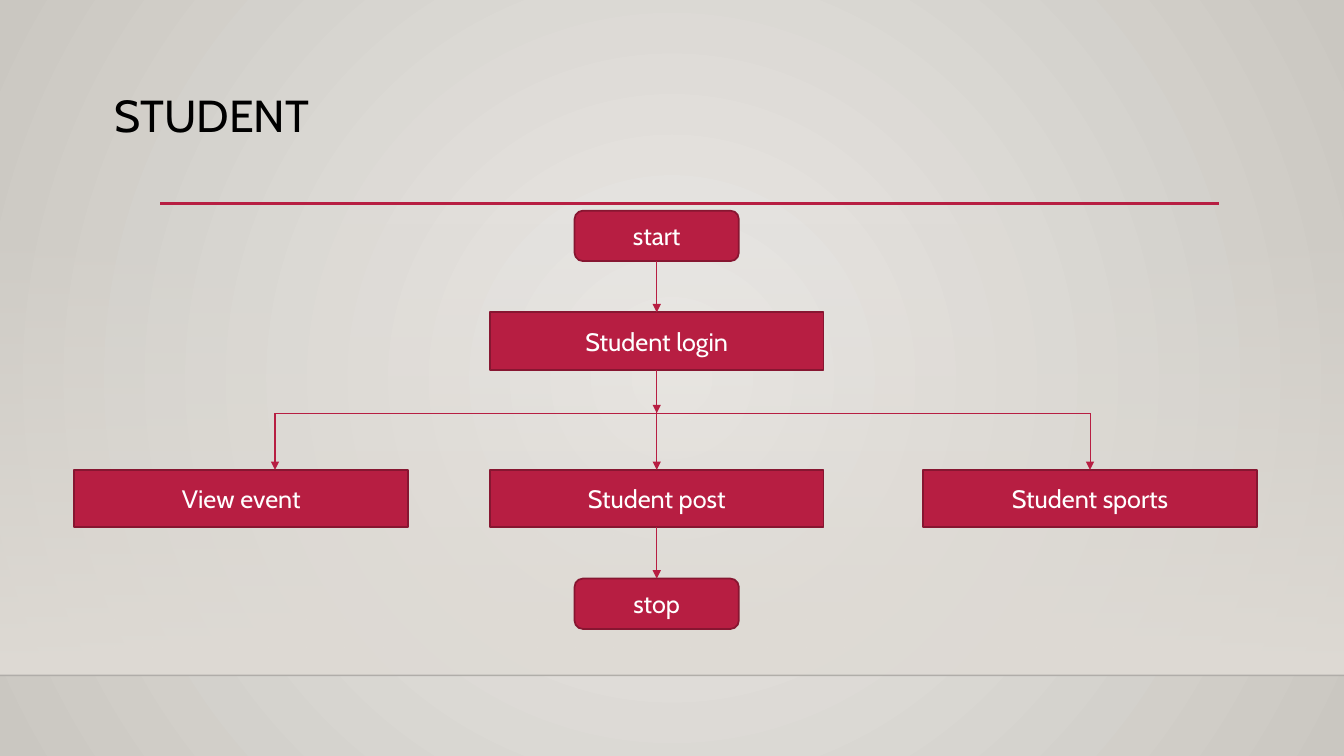
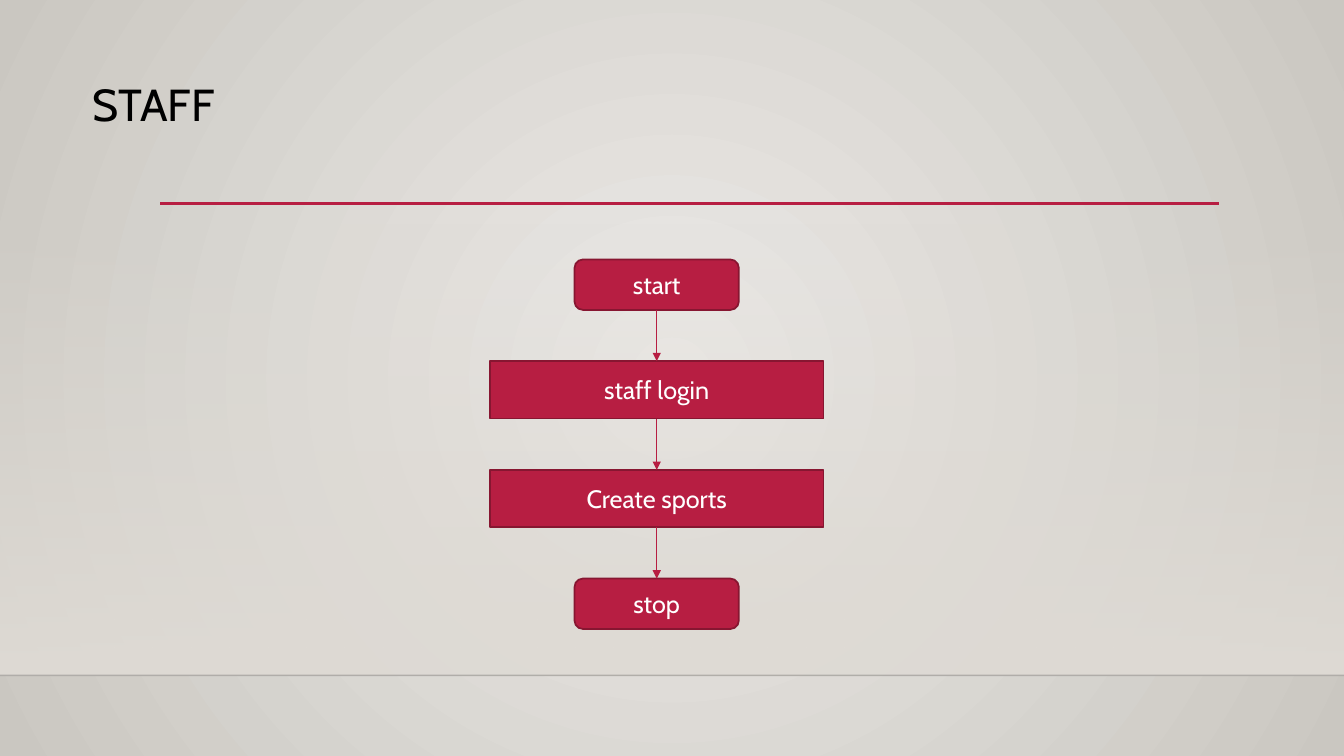
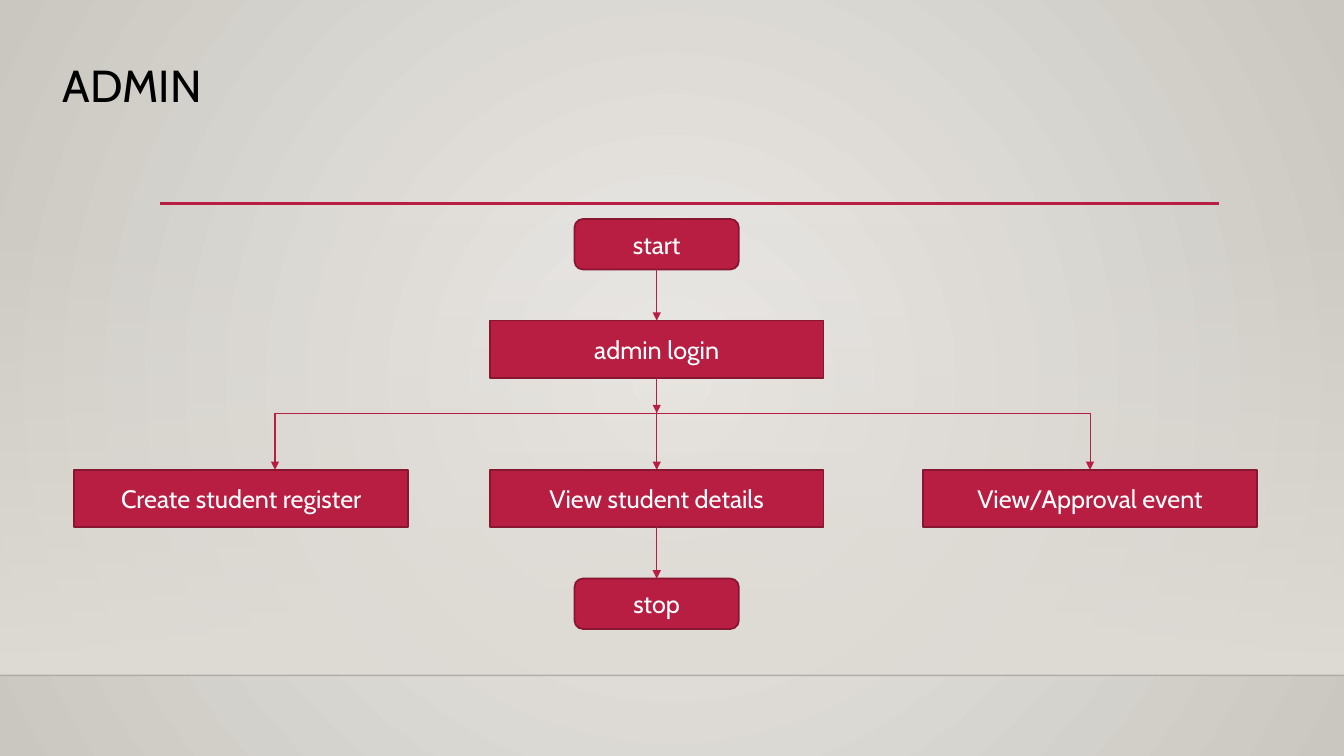
from dataclasses import dataclass

from pptx import Presentation
from pptx import util as u
from pptx.dml.color import RGBColor
from pptx.enum import shapes, text
from pptx.oxml import parse_xml
from pptx.oxml.ns import nsdecls, qn
from pptx.oxml.xmlchemy import BaseOxmlElement
from pptx.shapes.autoshape import Shape
from pptx.shapes.connector import Connector
from pptx.shapes.shapetree import SlideShapes
from pptx.slide import SlideLayout, SlideMaster


@dataclass(frozen=True)
class Theme:
    font: str = "Cabin"
    title_size: float = 32
    box_size: float = 18
    title: str = "000000"
    box_text: str = "FFFFFF"
    accent: str = "B71E42"
    outline: str = "871631"
    floor_line: str = "000001"
    glow: str = "ECEAE7"
    edge: str = "CAC7C1"
    wall: str = "DFDBD5"
    outline_width: float = 1.25
    arrow_width: float = 0.75
    rule_width: float = 2.5


@dataclass(frozen=True)
class Flow:
    title: str
    title_box: tuple[float, float, float, float]
    login: str
    login_top: float
    actions: tuple[str, ...]  # the middle action comes first


@dataclass(frozen=True)
class BoxKind:
    preset: shapes.MSO_SHAPE
    width: float
    height: float


THEME = Theme()
PILL = BoxKind(shapes.MSO_SHAPE.ROUNDED_RECTANGLE, 4.14, 1.27)
STEP = BoxKind(shapes.MSO_SHAPE.RECTANGLE, 8.41, 1.45)

# Flowchart grid, in centimetres
SLIDE_W, SLIDE_H = 33.87, 19.05
COLUMNS = (16.55, 6.08, 27.47)
SIDE_STEMS = (6.93, 27.47)
GAP = 1.29
BUS_Y = 10.41
ACTION_TOP = 11.84
STOP_TOP = ACTION_TOP + STEP.height + GAP
WALL_TOP, FLOOR_Y = 5.61, 17.02

FLOWS = (
    Flow("STUDENT", (2.62, 2.24, 29.06, 2.34), "Student login", 7.87,
         ("Student post", "View event", "Student sports")),
    Flow("STAFF", (2.08, 1.96, 29.72, 2.51), "staff login", 9.1,
         ("Create sports",)),
    Flow("ADMIN", (1.32, 1.47, 30.53, 3.02), "admin login", 8.08,
         ("View student details", "Create student register",
          "View/Approval event")),
)


def rgb(value: str) -> RGBColor:
    return RGBColor.from_string(value)


def set_gradient(parent: BaseOxmlElement, start: str, end: str,
                 start_alpha: int, direction: str) -> None:
    """Replace the gradient fill of parent with a two-stop one."""
    grad = parse_xml(
        f'<a:gradFill {nsdecls("a")} rotWithShape="1"><a:gsLst>'
        f'<a:gs pos="0"><a:srgbClr val="{start}">'
        f'<a:alpha val="{start_alpha * 1000}"/></a:srgbClr></a:gs>'
        f'<a:gs pos="100000"><a:srgbClr val="{end}"/></a:gs>'
        f'</a:gsLst>{direction}</a:gradFill>')
    parent.replace(parent.find(qn("a:gradFill")), grad)


def add_line(tree: SlideShapes, x1: float, y1: float, x2: float, y2: float,
             color: str, width: float, arrow: bool = False) -> Connector:
    line = tree.add_connector(shapes.MSO_CONNECTOR.STRAIGHT,
                              u.Cm(x1), u.Cm(y1), u.Cm(x2), u.Cm(y2))
    line.line.color.rgb = rgb(color)
    line.line.width = u.Pt(width)
    if arrow:
        line.line._get_or_add_ln().append(
            parse_xml(f'<a:tailEnd {nsdecls("a")} type="triangle"/>'))
    line._element.spPr.append(parse_xml(f'<a:effectLst {nsdecls("a")}/>'))
    return line


def add_box(tree: SlideShapes, kind: BoxKind, center: float, top: float,
            label: str) -> Shape:
    sp = tree.add_shape(kind.preset, u.Cm(center - kind.width / 2), u.Cm(top),
                        u.Cm(kind.width), u.Cm(kind.height))
    sp.shadow.inherit = False
    sp.fill.solid()
    sp.fill.fore_color.rgb = rgb(THEME.accent)
    sp.line.color.rgb = rgb(THEME.outline)
    sp.line.width = u.Pt(THEME.outline_width)
    tf = sp.text_frame
    tf.text = label
    tf.word_wrap = True
    tf.vertical_anchor = text.MSO_ANCHOR.MIDDLE
    p = tf.paragraphs[0]
    p.alignment = text.PP_ALIGN.CENTER
    style_run(p.runs[0], THEME.box_size, THEME.box_text)
    return sp


def style_run(r: text.MSO_ANCHOR, size: float, color: str) -> None:
    r.font.name = THEME.font
    r.font.size = u.Pt(size)
    r.font.color.rgb = rgb(color)


def add_arrow(tree: SlideShapes, x: float, top: float, bottom: float) -> Connector:
    return add_line(tree, x, top, x, bottom, THEME.accent,
                    THEME.arrow_width, arrow=True)


def link(tree: SlideShapes, upper: Shape, lower: Shape) -> None:
    """Join the bottom of one box to the top of the next."""
    arrow = add_arrow(tree, COLUMNS[0], 0, 1)
    arrow.begin_connect(upper, 2)
    arrow.end_connect(lower, 0)


def style_master(master: SlideMaster) -> None:
    master.background.fill.gradient()
    set_gradient(master._element.cSld.bg.bgPr, THEME.glow, THEME.edge, 100,
                 '<a:path path="circle"><a:fillToRect l="50000" t="50000" '
                 'r="50000" b="50000"/></a:path>')


def decorate_layout(layout: SlideLayout) -> None:
    tree = SlideShapes(layout.shapes._spTree, layout)
    # Wall fading in towards the floor
    wall = tree.add_shape(shapes.MSO_SHAPE.RECTANGLE, 0, u.Cm(WALL_TOP),
                          u.Cm(SLIDE_W), u.Cm(FLOOR_Y - WALL_TOP))
    wall.shadow.inherit = False
    wall.line.fill.background()
    wall.fill.gradient()
    set_gradient(wall._element.spPr, THEME.wall, THEME.wall, 0,
                 '<a:lin ang="5400000" scaled="0"/>')
    # Floor edge and title rule
    floor = add_line(tree, 0, FLOOR_Y, SLIDE_W, FLOOR_Y, THEME.floor_line, 1)
    color = floor._element.spPr.find(".//" + qn("a:srgbClr"))
    color.append(parse_xml(f'<a:alpha {nsdecls("a")} val="20000"/>'))
    add_line(tree, 4.04, 5.13, 30.73, 5.13, THEME.accent, THEME.rule_width)


def set_title(title: Shape, flow: Flow) -> None:
    title.left, title.top, title.width, title.height = map(u.Cm, flow.title_box)
    tf = title.text_frame
    tf.text = flow.title
    tf.auto_size = text.MSO_AUTO_SIZE.NONE
    tf.vertical_anchor = text.MSO_ANCHOR.TOP
    p = tf.paragraphs[0]
    p.alignment = text.PP_ALIGN.LEFT
    p.line_spacing = 0.9
    style_run(p.runs[0], THEME.title_size, THEME.title)


def draw_flow(tree: SlideShapes, flow: Flow) -> None:
    # Boxes
    center = COLUMNS[0]
    start = add_box(tree, PILL, center, flow.login_top - GAP - PILL.height, "start")
    login = add_box(tree, STEP, center, flow.login_top, flow.login)
    actions = [add_box(tree, STEP, x, ACTION_TOP, label)
               for x, label in zip(COLUMNS, flow.actions)]
    stop = add_box(tree, PILL, center, STOP_TOP, "stop")

    # Arrows
    link(tree, start, login)
    link(tree, login, actions[0])
    link(tree, actions[0], stop)
    if len(actions) > 1:
        add_arrow(tree, center, flow.login_top + STEP.height, BUS_Y)
        add_line(tree, SIDE_STEMS[0], BUS_Y, SIDE_STEMS[1], BUS_Y,
                 THEME.accent, THEME.arrow_width)
        for x in SIDE_STEMS:
            add_arrow(tree, x, BUS_Y, ACTION_TOP)


def main() -> None:
    prs = Presentation()
    prs.slide_width, prs.slide_height = u.Cm(SLIDE_W), u.Cm(SLIDE_H)
    layout = prs.slide_layouts.get_by_name("Title Only")
    style_master(prs.slide_master)
    decorate_layout(layout)
    for flow in FLOWS:
        s = prs.slides.add_slide(layout)
        set_title(s.shapes.title, flow)
        draw_flow(s.shapes, flow)
    prs.save("out.pptx")


if __name__ == "__main__":
    main()
